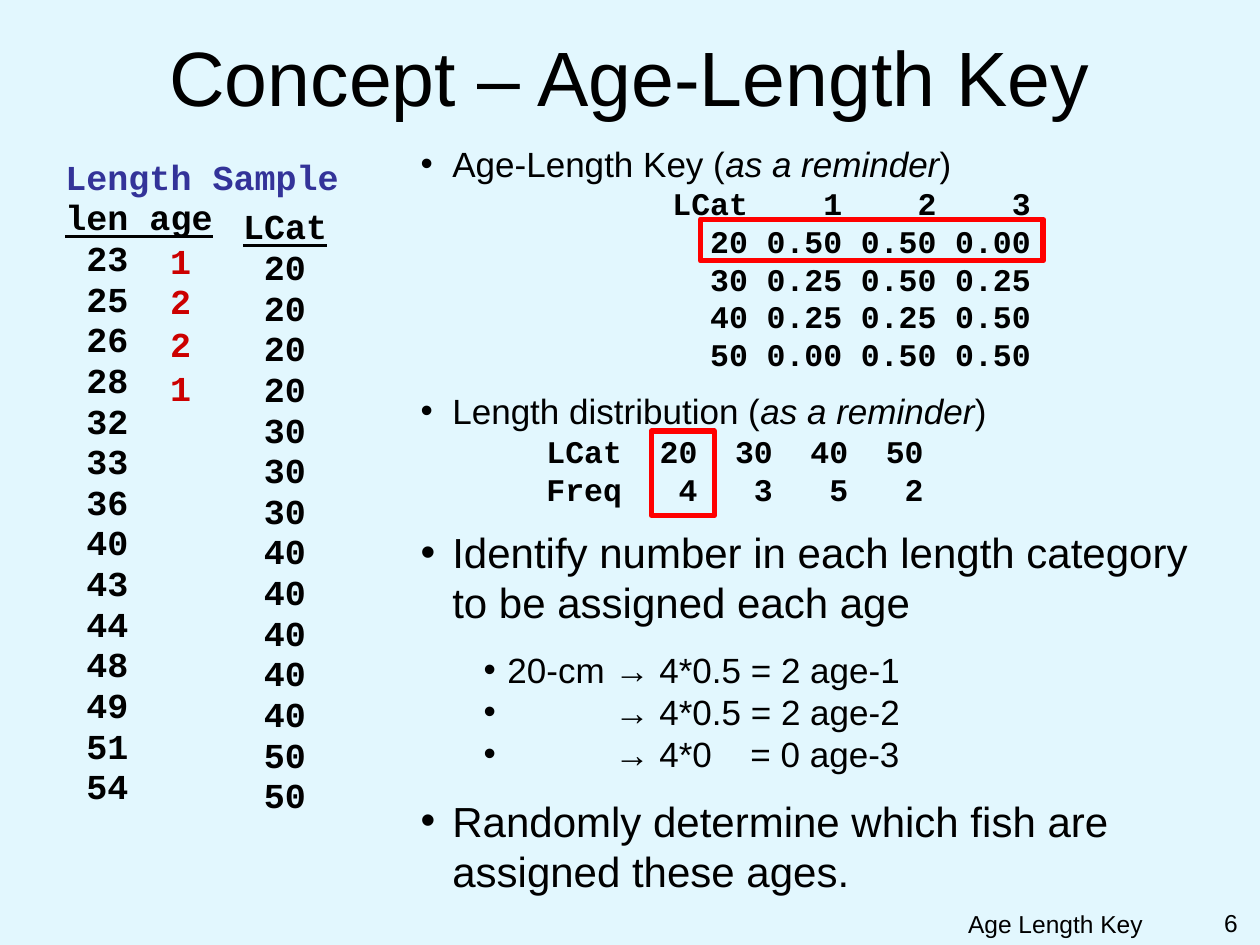
"""Build the age-length key concept slide."""
from dataclasses import dataclass

from lxml import etree
from pptx import Presentation
from pptx import util as u
from pptx.dml.color import RGBColor
from pptx.enum import shapes, text
from pptx.oxml.ns import qn


@dataclass(frozen=True)
class Theme:
    sans: str = "Arial"
    mono: str = "Courier New"
    background: RGBColor = RGBColor(0xE2, 0xF7, 0xFE)
    ink: RGBColor = RGBColor(0, 0, 0)
    heading: RGBColor = RGBColor(0x33, 0x33, 0x99)
    age: RGBColor = RGBColor(0xCC, 0, 0)
    highlight: RGBColor = RGBColor(0xFF, 0, 0)
    title: int = 44
    step: int = 24
    body: int = 20
    table: int = 18
    footer: int = 14


THEME = Theme()


def add_frame(left, top, width, height, wrap=True):
    frame = slide.shapes.add_textbox(u.Cm(left), u.Cm(top), u.Cm(width), u.Cm(height)).text_frame
    frame.word_wrap = wrap
    return frame


def add_line(frame, runs, size, font=THEME.sans, color=THEME.ink, bold=False, italic=(),
             underline=False, margin=0, hanging=0, bullet=False, tabs=(), before=0,
             spacing=None, align=text.PP_ALIGN.LEFT):
    first = len(frame.paragraphs) == 1 and not frame.paragraphs[0].runs
    line = frame.paragraphs[0] if first else frame.add_paragraph()
    properties = line._p.get_or_add_pPr()
    if margin:
        properties.set("marL", str(u.Cm(margin)))
    if bullet:
        properties.set("indent", str(-u.Cm(hanging)))
        etree.SubElement(properties, qn("a:buFont"), typeface=THEME.sans)
        etree.SubElement(properties, qn("a:buChar"), char="•")
    if tabs:
        tab_list = etree.SubElement(properties, qn("a:tabLst"))
        for position, side in tabs:
            etree.SubElement(tab_list, qn("a:tab"), pos=str(u.Cm(position)), algn=side)
    line.alignment = align
    line.line_spacing = spacing
    if before and not first:
        line.space_before = u.Pt(before)
    for index, words in enumerate(runs):
        run = line.add_run()
        run.text = words
        run.font.size = u.Pt(size)
        run.font.name = font
        run.font.color.rgb = color
        run.font.bold = bold
        run.font.italic = index in italic
        run.font.underline = underline


presentation = Presentation()
presentation.slide_width, presentation.slide_height = u.Cm(25.4), u.Cm(19.05)
slide = presentation.slides.add_slide(presentation.slide_layouts[6])
slide.background.fill.solid()
slide.background.fill.fore_color.rgb = THEME.background

footer = add_frame(15.24, 18.21, 8.05, 0.64)
add_line(footer, ["Age Length Key"], THEME.footer, align=text.PP_ALIGN.RIGHT)
page_number = add_frame(23.5, 18.19, 1.7, 0.86)
add_line(page_number, ["6"], THEME.footer, align=text.PP_ALIGN.RIGHT)

title = add_frame(0.18, 0.33, 25.04, 2.41)
title.vertical_anchor = text.MSO_ANCHOR.MIDDLE
add_line(title, ["Concept – Age-Length Key"], THEME.title, align=text.PP_ALIGN.CENTER)

column = dict(size=THEME.body, font=THEME.mono, bold=True, spacing=0.8, before=4)
character = 0.42
lengths = [23, 25, 26, 28, 32, 33, 36, 40, 43, 44, 48, 49, 51, 54]

length_sample = add_frame(1.07, 3.17, 6.78, 13.97)
add_line(length_sample, ["Length Sample"], color=THEME.heading, **column)
add_line(length_sample, ["len age"], underline=True, **column)
categories = add_frame(4.65, 4.17, 2.34, 12.8)
add_line(categories, ["LCat"], underline=True, **column)
for length in lengths:
    add_line(length_sample, [str(length)], margin=character, **column)
    add_line(categories, [str(length // 10 * 10)], margin=character, **column)

key = add_frame(8.23, 2.74, 16.54, 15.44)
point = dict(margin=0.64, hanging=0.64, bullet=True)
add_line(key, ["Age-Length Key (", "as a reminder", ")"], THEME.body, italic=[1], **point)
key_rows = ["LCat 1 2 3", "20 0.50 0.50 0.00", "30 0.25 0.50 0.25",
            "40 0.25 0.25 0.50", "50 0.00 0.50 0.50"]
key_tabs = [(6.6 + 1.9 * i, "r") for i in range(4)]
for row in key_rows:
    add_line(key, ["\t" + row.replace(" ", "\t")], THEME.table, THEME.mono, bold=True, tabs=key_tabs)

add_line(key, ["Length distribution (", "as a reminder", ")"], THEME.body, italic=[1],
         before=9.6, **point)
frequency_tabs = [(4.06 + 1.52 * i, "r") for i in range(5)]
for row in ["LCat 20 30 40 50", "Freq 4 3 5 2"]:
    add_line(key, ["\t" + row.replace(" ", "\t")], THEME.table, THEME.mono, bold=True,
             tabs=frequency_tabs)

add_line(key, ["Identify number in each length category to be assigned each age"], THEME.step,
         before=10.8, **point)
assignments = ["20-cm\t→ 4*0.5 = 2 age-1", "\t→ 4*0.5 = 2 age-2", "\t→ 4*0\t= 0 age-3"]
for index, assignment in enumerate(assignments):
    add_line(key, [assignment], THEME.body, margin=1.75, hanging=0.48, bullet=True,
             tabs=[(3.91, "l"), (6.65, "l")], before=0 if index else 12)
add_line(key, ["Randomly determine which fish are assigned these ages."], THEME.step,
         before=12, **point)

for age, top in zip([1, 2, 2, 1], [4.7, 5.51, 6.38, 7.26]):
    assigned_age = add_frame(3.18, top, 0.94, 1.09, wrap=False)
    add_line(assigned_age, [str(age)], THEME.body, THEME.mono, THEME.age, bold=True)

for left, top, width, height in [(14.12, 4.42, 6.91, 0.84), (13.13, 8.69, 1.27, 1.7)]:
    highlight = slide.shapes.add_shape(shapes.MSO_SHAPE.RECTANGLE, u.Cm(left), u.Cm(top),
                                       u.Cm(width), u.Cm(height))
    highlight.shadow.inherit = False
    highlight.fill.background()
    highlight.line.color.rgb = THEME.highlight
    highlight.line.width = u.Pt(3)

presentation.save("out.pptx")
